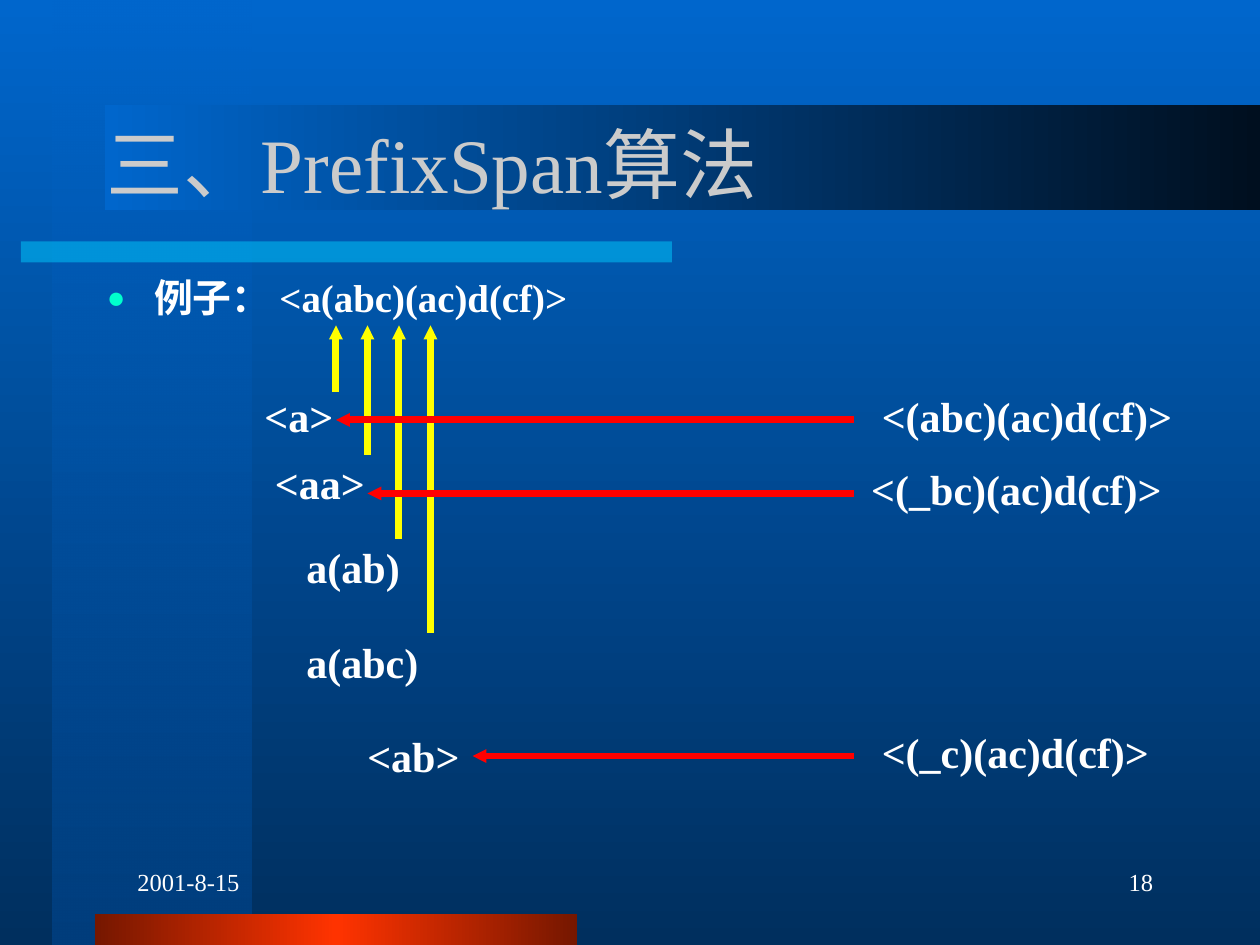
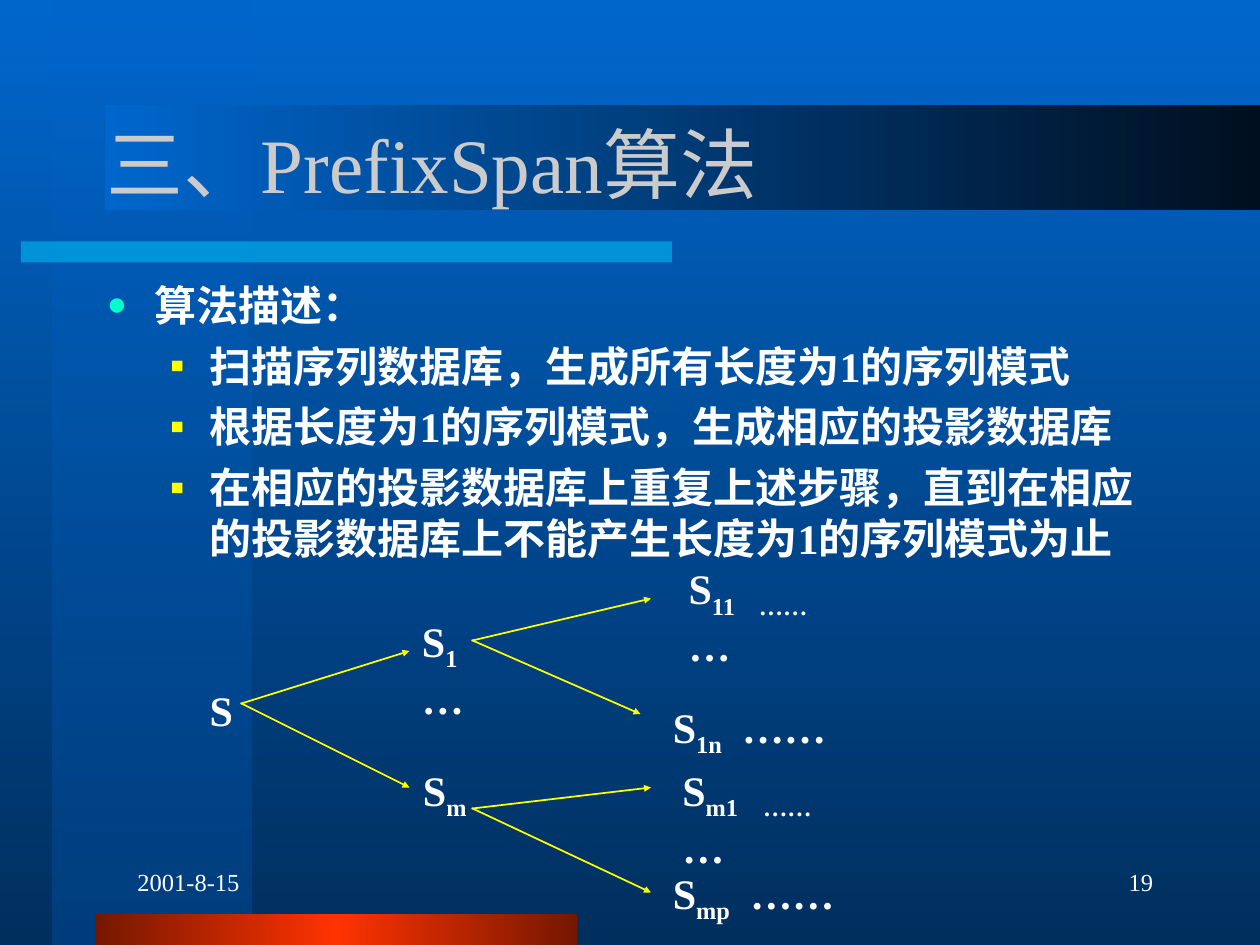
import pptx
import pptx.util
import pptx.dml.color
import pptx.enum.shapes
import pptx.enum.text
import pptx.oxml.ns
from lxml import etree

PX = 7620  # EMU in one px, 120 px to the inch
FONT = "Times New Roman"
HUES = {
    "sky": "0066CC", "navy": "002F5E", "deep": "003E7D", "night": "000F1F",
    "cyan": "00CCFF", "rust": "751700", "fire": "FF3300", "grey": "CBCBCB",
    "white": "FFFFFF", "mint": "00FFCC", "yellow": "FFFF00", "red": "FF0000",
}
RGB = {name: pptx.dml.color.RGBColor.from_string(code) for name, code in HUES.items()}
qn = pptx.oxml.ns.qn
Pt = pptx.util.Pt
ALIGN = pptx.enum.text.PP_ALIGN
MIDDLE = pptx.enum.text.MSO_ANCHOR.MIDDLE
RECT = pptx.enum.shapes.MSO_SHAPE.RECTANGLE
STRAIGHT = pptx.enum.shapes.MSO_CONNECTOR.STRAIGHT


def paint(fill, root, stops, angle):
    """Give a fill inside root gradient stops of (percent, hue, opacity)."""
    fill.gradient()
    grad = next(root.iter(qn("a:gradFill")))
    grad.find(qn("a:lin")).set("ang", str(angle * 60000))
    ramp = grad.find(qn("a:gsLst"))
    for old in list(ramp):
        ramp.remove(old)
    for at, hue, alpha in stops:
        stop = etree.SubElement(ramp, qn("a:gs"), pos=str(at * 1000))
        tint = etree.SubElement(stop, qn("a:srgbClr"), val=HUES[hue])
        if alpha < 100:
            etree.SubElement(tint, qn("a:alpha"), val=str(alpha * 1000))


def write(slide, box, paras, size=24, hue="white", bold=True, wrap=False, tab=0):
    """Add a text box; each paragraph is a list of runs, the second a subscript."""
    frame = slide.shapes.add_textbox(*(n * PX for n in box)).text_frame
    frame.word_wrap = wrap
    if not wrap:
        frame.auto_size = pptx.enum.text.MSO_AUTO_SIZE.SHAPE_TO_FIT_TEXT
    for i, runs in enumerate(paras):
        para = frame.paragraphs[0] if i == 0 else frame.add_paragraph()
        font = para.font
        font.name, font.size, font.bold = FONT, Pt(size), bold
        font.color.rgb = RGB[hue]
        for j, words in enumerate(runs):
            run = para.add_run()
            run.text = words
            if j == 1:
                run.font._element.set("baseline", "-25000")
        if tab:
            tabs = etree.Element(qn("a:tabLst"))
            etree.SubElement(tabs, qn("a:tab"), pos=str(tab * PX), algn="l")
            para._p.pPr.find(qn("a:defRPr")).addprevious(tabs)
    return frame


TITLE = "三、PrefixSpan算法"
DATE = "2001-8-15"
BANDS = [  # box, gradient stops, angle
    ((50, 0, 190, 900), [(0, "sky", 50), (100, "deep", 100)], 90),
    ((20, 230, 620, 20), None, 0),
    ((90, 870, 460, 30), [(0, "rust", 100), (50, "fire", 100), (100, "rust", 100)], 180),
    ((100, 100, 1100, 100), [(0, "night", 100), (100, "sky", 100)], 180),
]
LEVELS = [  # left margin, hang, bullet, hue, size in percent
    (45, 45, "●", "mint", 80),
    (98, 38, "▪", "yellow", 100),
]

# Slide 18: matches point up to the sequence, suffixes point left to prefixes
ups = [(320 + 30 * i, foot, 320 + 30 * i, 310) for i, foot in enumerate([370, 430, 510, 600])]
lefts = [(810, y, tip, y) for y, tip in [(400, 320), (470, 350), (720, 450)]]
match = {
    "number": "18", "size": 22.2, "space": 0.9, "high": 60,
    "body": [(0, "例子： <a(abc)(ac)d(cf)>")],
    "lines": [("yellow", 4, ups), ("red", 4, lefts)],
    "labels": [
        ((240, 366, 93, 60), [["<a>"]], 0),
        ((250, 430, 113, 60), [["<aa>"]], 0),
        ((280, 510, 117, 60), [["a(ab)"]], 0),
        ((280, 600, 135, 60), [["a(abc)"]], 0),
        ((828, 366, 305, 60), [["<(abc)(ac)d(cf)>"]], 0),
        ((818, 436, 305, 60), [["<(_bc)(ac)d(cf)>"]], 0),
        ((338, 690, 116, 60), [["<ab>"]], 0),
        ((828, 686, 282, 60), [["<(_c)(ac)d(cf)>"]], 0),
    ],
}

# Slide 19: each node of the tree forks in two
forks = [
    ((230, 670), [(390, 620), (390, 750)]),
    ((450, 610), [(620, 570), (620 - 10, 680)]),
    ((450, 770), [(620, 750), (620, 850)]),
]
steps = {
    "number": "19", "size": 24, "space": None, "high": 290,
    "body": [
        (0, "算法描述："),
        (1, "扫描序列数据库，生成所有长度为1的序列模式"),
        (1, "根据长度为1的序列模式，生成相应的投影数据库"),
        (1, "在相应的投影数据库上重复上述步骤，直到在相应的投影数据库上不能产生长度为1的序列模式为止"),
    ],
    "lines": [("yellow", 1, [root + tip for root, tips in forks for tip in tips])],
    "labels": [
        ((188, 646, 50, 60), [["S"]], 0),
        ((390, 580, 68, 115), [["S", "1"], ["…"]], 0),
        ((391, 722, 70, 67), [["S", "m"]], 0),
        ((644, 530, 150, 115), [["S", "11\t……"], ["…"]], 67),
        ((629, 662, 180, 67), [["S", "1n\t", "……"]], 66),
        ((638, 722, 160, 115), [["S", "m1\t……"], ["…"]], 77),
        ((629, 820, 190, 67), [["S", "mp\t", "……"]], 74),
    ],
}

deck = pptx.Presentation()
deck.slide_width, deck.slide_height = 1200 * PX, 900 * PX

for page in (match, steps):
    slide = deck.slides.add_slide(deck.slide_layouts[6])
    paint(slide.background.fill, slide._element, [(0, "sky", 100), (100, "navy", 100)], 90)

    for box, stops, angle in BANDS:
        band = slide.shapes.add_shape(RECT, *(n * PX for n in box))
        band.shadow.inherit = False
        band.line.fill.background()
        if stops:
            paint(band.fill, band._element, stops, angle)
        else:
            band.fill.solid()
            band.fill.fore_color.rgb = RGB["cyan"]
            tint = next(band._element.spPr.iter(qn("a:srgbClr")))
            etree.SubElement(tint, qn("a:alpha"), val="50000")

    head = write(slide, (90, 80, 1020, 150), [[TITLE]], 44, "grey", False, True)
    head.vertical_anchor = MIDDLE

    body = write(slide, (90, 260, 1020, page["high"]),
                 [[words] for _, words in page["body"]], page["size"], wrap=True)
    for para, (level, _) in zip(body.paragraphs, page["body"]):
        left, hang, mark, hue, scale = LEVELS[level]
        para.level = level
        para.space_before = Pt(6)
        para.line_spacing = page["space"]
        props = para._p.pPr
        props.set("marL", str(left * PX))
        props.set("indent", str(-hang * PX))
        color = etree.Element(qn("a:buClr"))
        etree.SubElement(color, qn("a:srgbClr"), val=HUES[hue])
        for part in (color,
                     etree.Element(qn("a:buSzPct"), val=str(scale * 1000)),
                     etree.Element(qn("a:buFont"), typeface=FONT),
                     etree.Element(qn("a:buChar"), char=mark)):
            props.find(qn("a:defRPr")).addprevious(part)

    for hue, width, ends in page["lines"]:
        for points in ends:
            arrow = slide.shapes.add_connector(STRAIGHT, *(n * PX for n in points))
            arrow.line.color.rgb = RGB[hue]
            arrow.line.width = Pt(width)
            line = arrow.line._get_or_add_ln()
            line.set("cap", "sq")
            etree.SubElement(line, qn("a:tailEnd"), type="triangle", w="sm", len="sm")
            etree.SubElement(arrow._element.spPr, qn("a:effectLst"))

    for box, paras, tab in page["labels"]:
        write(slide, box, paras, tab=tab)

    for x, words, side in [(860, page["number"], ALIGN.RIGHT), (90, DATE, ALIGN.LEFT)]:
        foot = write(slide, (x, 810, 250, 60), [[words]], 14, bold=False, wrap=True)
        foot.vertical_anchor = MIDDLE
        foot.paragraphs[0].alignment = side
        foot.paragraphs[0]._p.pPr.set("marL", str(29 * PX))

deck.save("out.pptx")
